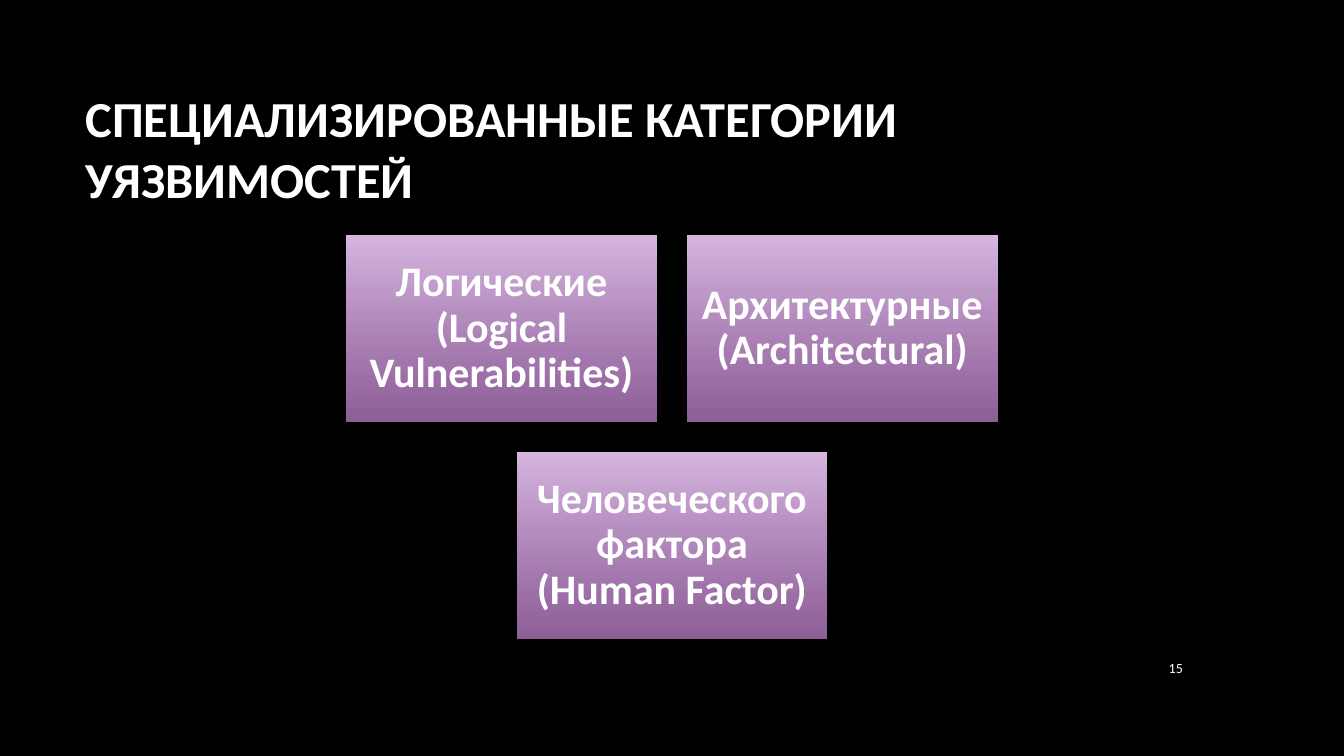
from lxml.etree import SubElement
from pptx import Presentation
from pptx.dml.color import RGBColor
from pptx.enum.shapes import MSO_SHAPE
from pptx.enum.text import MSO_ANCHOR, PP_ALIGN
from pptx.oxml.ns import qn
from pptx.util import Inches, Pt

BLACK = RGBColor(0x00, 0x00, 0x00)
WHITE = RGBColor(0xFF, 0xFF, 0xFF)
LILAC = RGBColor(0xD8, 0xB7, 0xE1)
PURPLE = RGBColor(0xBF, 0x82, 0xCE)

WIDE, HIGH, GAP = 3.07, 1.84, 0.31
LEFT, TOP = 3.44, 2.34
ROWS = [
    ["Логические (Logical Vulnerabilities)", "Архитектурные (Architectural)"],
    ["Человеческого фактора (Human Factor)"],
]


def set_text(shape, text, size, bold, align):
    frame = shape.text_frame
    frame.text = text
    frame.word_wrap = True
    frame.vertical_anchor = MSO_ANCHOR.MIDDLE
    para = frame.paragraphs[0]
    para.alignment = align
    font = para.runs[0].font
    font.name = "Calibri"
    font.size = Pt(size)
    font.bold = bold
    font.color.rgb = WHITE
    return frame


def add_label(slide, box, text, size, bold, align):
    label = slide.shapes.add_textbox(*map(Inches, box))
    set_text(label, text, size, bold, align)


def fill_card(card):
    card.fill.gradient()
    card.fill.gradient_angle = 270
    for stop, color, place in zip(card.fill.gradient_stops, (LILAC, PURPLE), (0, 1)):
        stop.color.rgb = color
        stop.position = place
    last = list(card.element.iter(qn("a:srgbClr")))[-1]
    SubElement(last, qn("a:alpha")).set("val", "74000")


def add_card(slide, left, top, text):
    box = map(Inches, (left, top, WIDE, HIGH))
    card = slide.shapes.add_shape(MSO_SHAPE.RECTANGLE, *box)
    card.shadow.inherit = False
    card.line.fill.background()
    fill_card(card)
    frame = set_text(card, text, 30, True, PP_ALIGN.CENTER)
    frame.margin_left = frame.margin_right = Inches(0.12)
    frame.margin_top = frame.margin_bottom = Inches(0.12)
    frame.paragraphs[0].line_spacing = 0.9


def add_grid(slide):
    step = WIDE + GAP
    for row, names in enumerate(ROWS):
        start = LEFT + (len(ROWS[0]) - len(names)) * step / 2
        for col, name in enumerate(names):
            add_card(slide, start + col * step, TOP + row * (HIGH + GAP), name)


def main():
    deck = Presentation()
    deck.slide_width = Inches(13.33)
    deck.slide_height = Inches(7.5)
    slide = deck.slides.add_slide(deck.slide_layouts[6])
    slide.background.fill.solid()
    slide.background.fill.fore_color.rgb = BLACK
    title = "СПЕЦИАЛИЗИРОВАННЫЕ КАТЕГОРИИ УЯЗВИМОСТЕЙ"
    add_label(slide, (0.75, 0.67, 11.08, 1.59), title, 36, True, PP_ALIGN.LEFT)
    add_grid(slide)
    add_label(slide, (11.23, 6.42, 0.6, 0.41), "15", 10, False, PP_ALIGN.RIGHT)
    deck.save("out.pptx")


if __name__ == "__main__":
    main()
